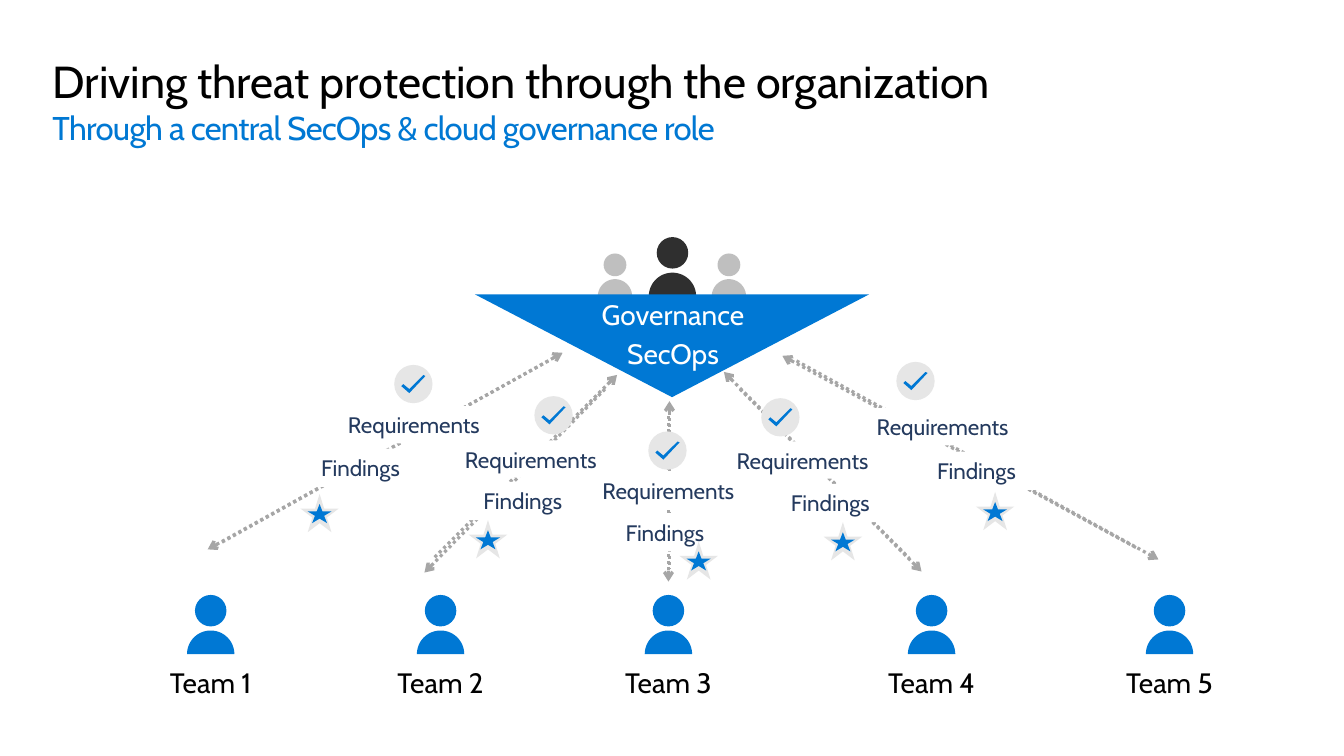
"""Build the slide on threat protection led by a central governance role."""
import math
from collections import namedtuple

from lxml import etree
from pptx import Presentation
from pptx import util as u
from pptx.dml.color import RGBColor
from pptx.enum import dml, shapes, text
from pptx.oxml.ns import qn

FONT = "Cabin"
COLORS = {
    "black": "000000", "white": "FFFFFF", "blue": "0078D4", "subtitle": "0078D3",
    "navy": "243A5E", "dark": "2F2F2F", "silver": "BFBFBF", "badge": "E6E6E6",
    "arrow": "A6A6A6",
}
CHECK = [(0.29, 0.1), (0.15, 0.24), (0.09, 0.19), (0.07, 0.21), (0.15, 0.28), (0.31, 0.11)]
BADGE = 0.38

Team = namedtuple("Team", "center down up requirement finding check star")
TEAMS = [
    Team(2.09, (5.44, 3.58, 2.06, 5.45), (5.58, 3.5, 2.2, 5.38),
         (3.28, 4.03, 1.65), (2.99, 4.45), (3.91, 3.62), (2.98, 4.9)),
    Team(4.37, (6, 3.86, 4.21, 5.68), (6.12, 3.72, 4.3, 5.54),
         (4.43, 4.37, 1.67), (4.6, 4.78), (5.3, 3.93), (4.65, 5.16)),
    Team(6.63, (6.63, 4.13, 6.63, 5.77), (6.64, 3.98, 6.64, 5.64),
         (5.75, 4.68, 1.76), (6.01, 5.09), (6.43, 4.28), (6.74, 5.37)),
    Team(9.24, (7.34, 3.86, 9.14, 5.67), (7.18, 3.69, 9.02, 5.54),
         (7.16, 4.38, 1.6), (7.65, 4.8), (7.55, 3.95), (8.17, 5.18)),
    Team(11.6, (7.9, 3.58, 11.49, 5.55), (7.76, 3.53, 11.28, 5.44),
         (8.45, 4.05, 1.8), (9.1, 4.48), (8.89, 3.59), (9.68, 4.88)),
]


def rgb(name):
    """Return the named colour."""
    return RGBColor.from_string(COLORS[name])


def paint(shape, color):
    """Give a shape a plain fill without line or shadow."""
    shape.shadow.inherit = False
    shape.fill.solid()
    shape.fill.fore_color.rgb = rgb(color)
    shape.line.fill.background()
    return shape


def add_preset(parent, kind, place, color):
    """Add a filled preset shape at left, top, width, height."""
    return paint(parent.shapes.add_shape(kind, *map(u.Inches, place)), color)


def add_outline(parent, points, color):
    """Add a filled closed outline through points in inches."""
    corners = [(u.Inches(x), u.Inches(y)) for x, y in points]
    builder = parent.shapes.build_freeform(*corners[0])
    builder.add_line_segments(corners[1:], close=True)
    return paint(builder.convert_to_shape(), color)


def style(para, size, color):
    """Format every run of a paragraph."""
    for span in para.runs:
        span.font.name = FONT
        span.font.size = u.Pt(size)
        span.font.color.rgb = rgb(color)


def write(box, words, size, color):
    """Fill a box with centred text."""
    frame = box.text_frame
    frame.word_wrap = True
    frame.vertical_anchor = text.MSO_ANCHOR.MIDDLE
    frame.text = words
    for number, para in enumerate(frame.paragraphs):
        para.alignment = text.PP_ALIGN.CENTER
        para.space_before = u.Pt(size * 0.2 if number else 0)
        style(para, size, color)


def add_label(slide, words, place, color):
    """Add a transparent box with 20-point text."""
    write(slide.shapes.add_textbox(*map(u.Inches, place)), words, 20, color)


def add_tag(slide, words, place):
    """Add a white tag that covers the arrow behind it."""
    tag = add_preset(slide, shapes.MSO_SHAPE.RECTANGLE, place, "white")
    write(tag, words, 16, "navy")


def add_arrow(slide, ends, arrow_end):
    """Add a dotted line with an arrowhead at headEnd or tailEnd."""
    line = slide.shapes.add_connector(shapes.MSO_CONNECTOR.STRAIGHT, *map(u.Inches, ends))
    line.line.color.rgb = rgb("arrow")
    line.line.width = u.Pt(2.25)
    line.line.dash_style = dml.MSO_LINE.ROUND_DOT
    properties = line._element.spPr
    etree.SubElement(properties.find(qn("a:ln")), qn("a:" + arrow_end), type="arrow")
    etree.SubElement(properties, qn("a:effectLst"))


def add_person(slide, center, bottom, width, color):
    """Add a head above half-round shoulders."""
    person = slide.shapes.add_group_shape()
    head, radius = width * 0.665, width / 2
    add_preset(person, shapes.MSO_SHAPE.OVAL,
               (center - head / 2, bottom - width * 1.25, head, head), color)
    angles = [math.radians(step) for step in range(0, 181, 5)]
    add_outline(person, [(center + radius * math.cos(angle), bottom - radius * math.sin(angle))
                         for angle in angles], color)


def add_check(slide, left, top):
    """Add a round badge with a check mark."""
    badge = slide.shapes.add_group_shape()
    add_preset(badge, shapes.MSO_SHAPE.OVAL, (left, top, BADGE, BADGE), "badge")
    add_outline(badge, [(left + x, top + y) for x, y in CHECK], "blue")


def add_star(slide, left, top):
    """Add a small blue star on a pale one."""
    badge = slide.shapes.add_group_shape()
    star = shapes.MSO_SHAPE.STAR_5_POINT
    add_preset(badge, star, (left, top, BADGE, BADGE), "badge")
    add_preset(badge, star, (left + 0.07, top + 0.1, 0.24, 0.19), "blue")


def add_title(slide):
    """Place and format the title with its subtitle line."""
    title = slide.shapes.title
    title.left, title.top, title.width, title.height = map(u.Inches, (0.42, 0.48, 12.12, 1.04))
    frame = title.text_frame
    frame.text = ("Driving threat protection through the organization\n"
                  "Through a central SecOps & cloud governance role")
    frame.auto_size = text.MSO_AUTO_SIZE.NONE
    frame.vertical_anchor = text.MSO_ANCHOR.MIDDLE
    for para, size, color in zip(frame.paragraphs, (32, 23.5), ("black", "subtitle")):
        para.alignment = text.PP_ALIGN.LEFT
        style(para, size, color)
    frame.paragraphs[1].runs[0]._r.get_or_add_rPr().set("spc", "-50")


def add_governance(slide):
    """Add the central team and its triangle."""
    for center, width, color in ((6.67, 0.47, "dark"), (6.1, 0.34, "silver"),
                                 (7.23, 0.34, "silver")):
        add_person(slide, center, 2.94, width, color)
    triangle = add_preset(slide, shapes.MSO_SHAPE.ISOSCELES_TRIANGLE,
                          (4.71, 2.92, 3.91, 1.02), "blue")
    triangle.rotation = 180
    add_label(slide, "Governance\nSecOps", (4.03, 2.89, 5.29, 0.84), "white")


def main():
    """Build and save the slide."""
    deck = Presentation()
    deck.slide_width, deck.slide_height = u.Inches(13.33), u.Inches(7.5)
    slide = deck.slides.add_slide(deck.slide_layouts[5])
    add_title(slide)
    for number, team in enumerate(TEAMS, 1):
        add_label(slide, f"Team {number}", (team.center - 0.85, 6.54, 1.7, 0.46), "black")
        add_person(slide, team.center, 6.49, 0.47, "blue")
        add_arrow(slide, team.down, "tailEnd")
        add_arrow(slide, team.up, "headEnd")
    add_governance(slide)
    for team in TEAMS:
        add_tag(slide, "Requirements", (*team.requirement, 0.37))
        add_tag(slide, "Findings", (*team.finding, 1.17, 0.38))
    for team in TEAMS:
        add_check(slide, *team.check)
        add_star(slide, *team.star)
    deck.save("out.pptx")


if __name__ == "__main__":
    main()
